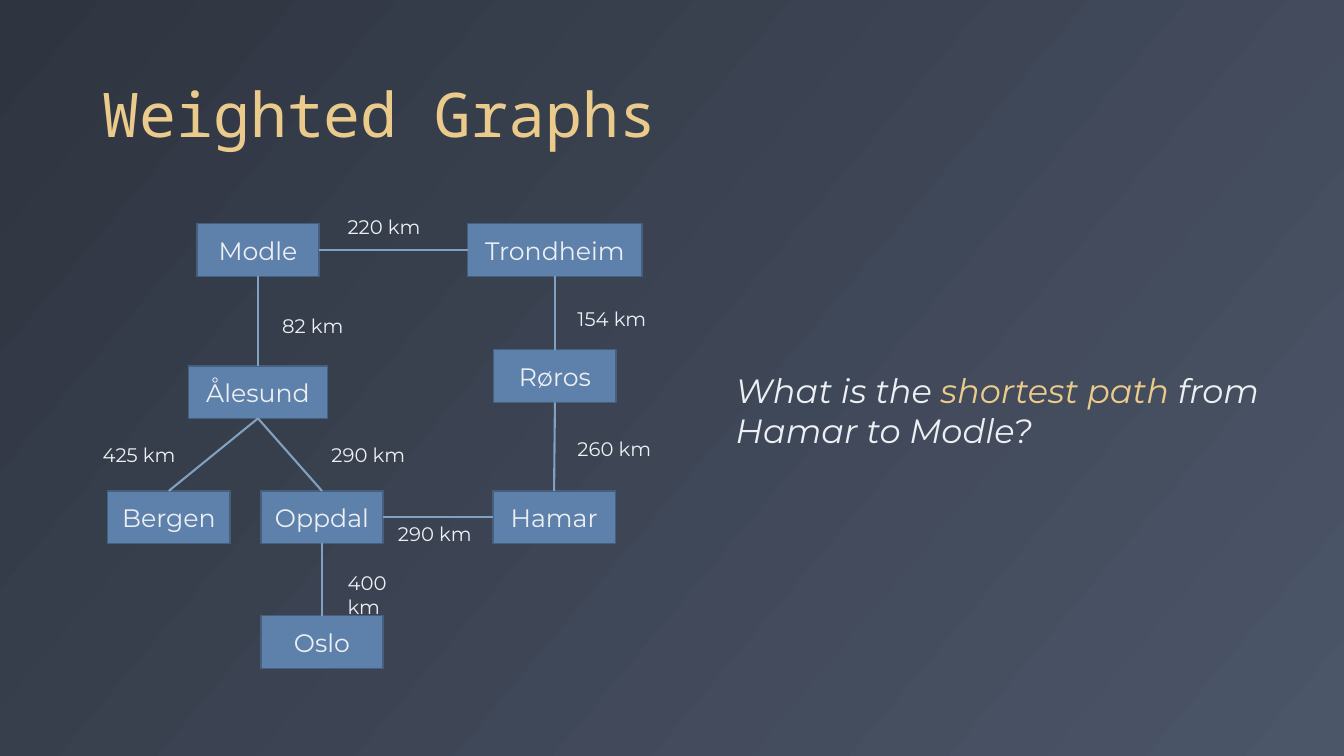
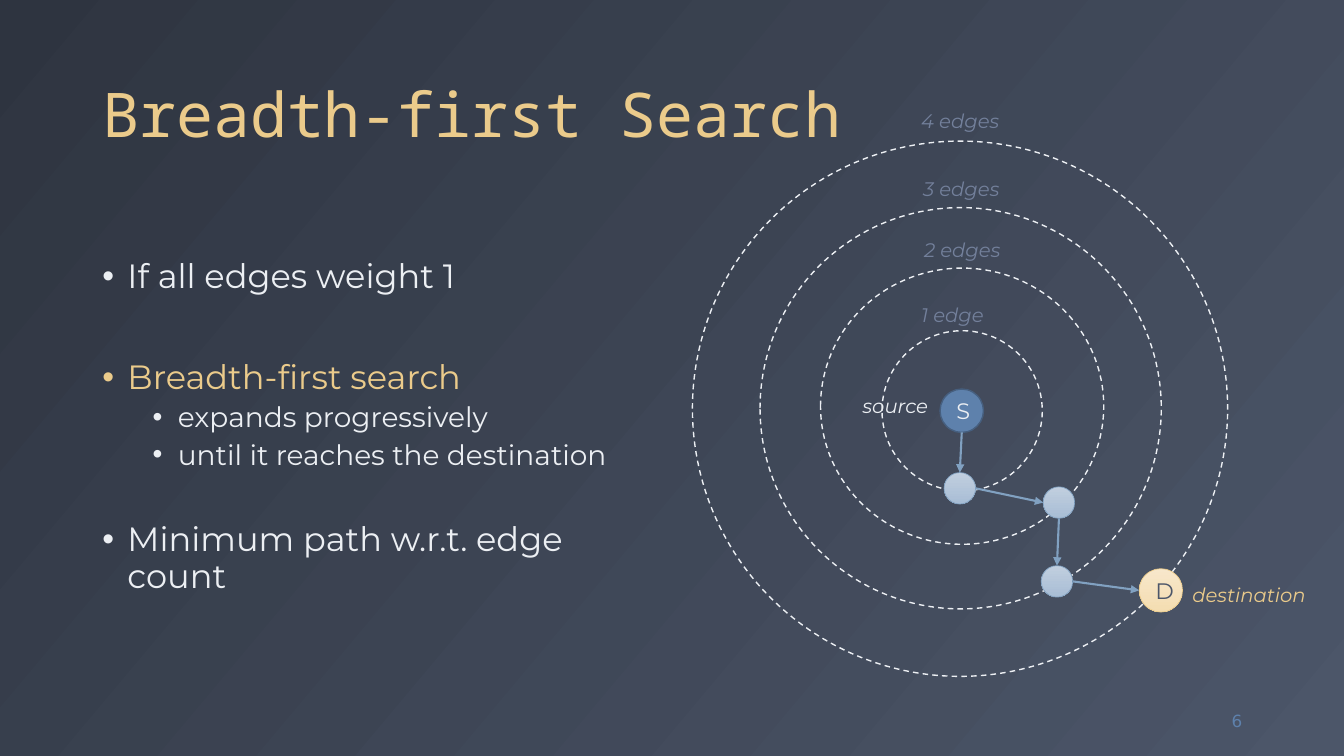
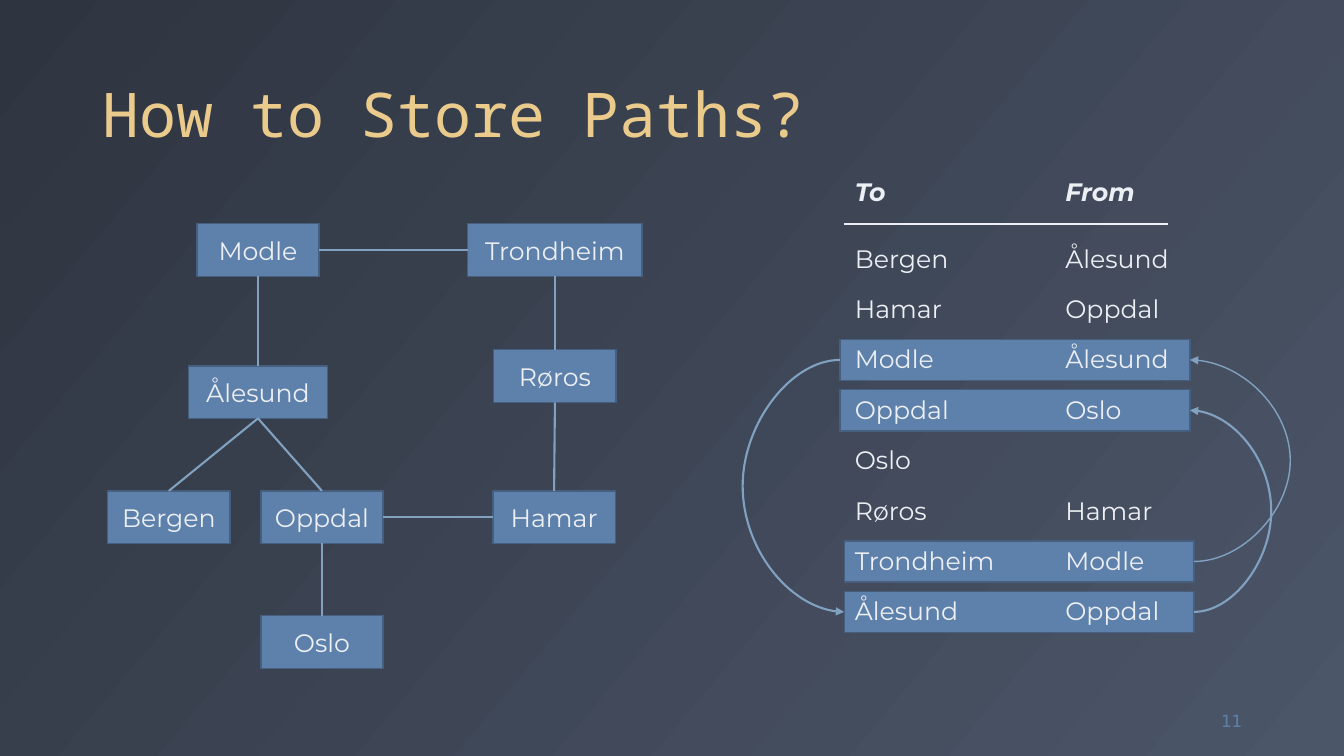
"""Build three slides on weighted graphs, breadth-first search and stored paths."""
from dataclasses import dataclass

from lxml import etree
from pptx import Presentation
from pptx.dml.color import RGBColor
from pptx.enum.dml import MSO_LINE
from pptx.enum.shapes import MSO_CONNECTOR, MSO_SHAPE
from pptx.enum.text import MSO_ANCHOR, PP_ALIGN
from pptx.oxml.ns import qn
from pptx.util import Pt

STRAIGHT, CURVE = MSO_CONNECTOR.STRAIGHT, MSO_CONNECTOR.CURVE
RECTANGLE, OVAL = MSO_SHAPE.RECTANGLE, MSO_SHAPE.OVAL
LEFT, CENTER, RIGHT = PP_ALIGN.LEFT, PP_ALIGN.CENTER, PP_ALIGN.RIGHT
TOP, MIDDLE, BOTTOM = MSO_ANCHOR.TOP, MSO_ANCHOR.MIDDLE, MSO_ANCHOR.BOTTOM
DASH = MSO_LINE.DASH
SITE_TOP, SITE_LEFT, SITE_BOTTOM, SITE_RIGHT = range(4)

NIGHT, SLATE, SNOW, GOLD = "2E3440", "4C5669", "ECEFF3", "EBCB8B"
BLUE, BLUE_EDGE, SKY, MUTED = "5E81AC", "465F7F", "81A1C1", "73809B"
GOLD_FADE, SKY_FADE = ("F7E7CB", "F4DDB1"), ("C1CFDF", "A8BDD5")
TITLE_FONT, BODY_FONT, NUMBER_FONT = "Noto Sans Mono", "Montserrat", "DejaVu Sans"
PLAIN_TABLE_STYLE = "{2D5ABB26-0587-4C30-8999-92F81FD0307C}"

CITY_HEIGHT = 37.5
TABLE_LEFT, TABLE_TOP = 603.4, 123.1
HEADER_HEIGHT, ROW_HEIGHT = 44, 36
COLUMN_WIDTHS = (150.4, 96)
HIGHLIGHT_WIDTH, HIGHLIGHT_HEIGHT = 250, 29.5


@dataclass(frozen=True)
class Style:
    size: float = 14
    color: str = SNOW
    name: str = BODY_FONT
    bold: bool = False
    italic: bool = False


@dataclass(frozen=True)
class City:
    name: str
    x: float
    y: float
    width: float = 87.4


@dataclass(frozen=True)
class Road:
    start: str
    start_site: int
    end: str
    end_site: int
    distance: str
    left: float
    top: float
    label_width: float = 76


@dataclass(frozen=True)
class Ring:
    left: float
    top: float
    width: float
    height: float
    label: str
    label_left: float
    label_top: float


@dataclass(frozen=True)
class Node:
    x: float
    y: float
    diameter: float = 22.5
    fill: str | tuple = SKY_FADE
    edge: str = SKY
    edge_width: float = 0.5
    text: str = ""
    text_color: str = SNOW


@dataclass(frozen=True)
class Bullet:
    text: str
    space_before: float
    level: int = 0
    color: str = SNOW


@dataclass(frozen=True)
class Trace:
    start_row: int
    end_row: int
    on_right: bool
    bend_x: float
    width: float


CITIES = (
    City("Modle", 184.3, 178.6),
    City("Ålesund", 184.3, 280.1, 99.6),
    City("Trondheim", 396.4, 178.6, 124.6),
    City("Oppdal", 230, 369.4),
    City("Hamar", 395.8, 369.4),
    City("Bergen", 120.6, 369.4),
    City("Oslo", 230, 458.6),
    City("Røros", 396.4, 268.6),
)
ROADS = (
    Road("Modle", SITE_BOTTOM, "Ålesund", SITE_TOP, "82 km", 194.4, 221),
    Road("Modle", SITE_RIGHT, "Trondheim", SITE_LEFT, "220 km", 241.2, 149.8),
    Road("Bergen", SITE_TOP, "Ålesund", SITE_BOTTOM, "425 km", 66.2, 312.5),
    Road("Oppdal", SITE_TOP, "Ålesund", SITE_BOTTOM, "290 km", 229.7, 312.5),
    Road("Hamar", SITE_LEFT, "Oppdal", SITE_RIGHT, "290 km", 277.2, 369.4),
    Road("Oslo", SITE_TOP, "Oppdal", SITE_BOTTOM, "400 km", 241.2, 404.6, 60),
    Road("Røros", SITE_BOTTOM, "Hamar", SITE_TOP, "260 km", 405.4, 308.9),
    Road("Trondheim", SITE_BOTTOM, "Røros", SITE_TOP, "154 km", 405.4, 216),
)
RINGS = (
    Ring(630, 236.2, 114.5, 114.5, "1 edge", 650.9, 213.1),
    Ring(586.1, 191.5, 202.3, 197.3, "2 edges", 653, 166.3),
    Ring(542.9, 148.3, 286.6, 286.6, "3 edges", 652.3, 123.1),
    Ring(494.6, 100.8, 382.3, 382.3, "4 edges", 650.9, 74.2),
)
SEARCH_PATH = (
    Node(687, 293.4, 31, BLUE, BLUE_EDGE, 1, "S"),
    Node(685.6, 348.8),
    Node(756.4, 359),
    Node(755, 415.3),
    Node(829.2, 421.7, 31, GOLD_FADE, GOLD, 0.5, "D", SLATE),
)
BULLETS = (
    Bullet("If all edges weight 1", 0),
    Bullet("Breadth-first search", 46, color=GOLD),
    Bullet("expands progressively", 5, 1),
    Bullet("until it reaches the destination", 5, 1),
    Bullet("Minimum path w.r.t. edge count", 37),
)
PATHS = (
    ("Bergen", "Ålesund"),
    ("Hamar", "Oppdal"),
    ("Modle", "Ålesund"),
    ("Oppdal", "Oslo"),
    ("Oslo", ""),
    ("Røros", "Hamar"),
    ("Trondheim", "Modle"),
    ("Ålesund", "Oppdal"),
)
HIGHLIGHT_LEFTS = {2: 600, 3: 600, 6: 603, 7: 603}
TRACES = (
    Trace(6, 2, True, 921.6, 1),
    Trace(2, 7, False, 530.6, 1.5),
    Trace(7, 3, True, 908, 1.5),
)


def rgb(color: str) -> RGBColor:
    """Turn a hex string into a colour."""
    return RGBColor.from_string(color)


def set_font(font, style: Style) -> None:
    """Apply a text style to a font."""
    font.name, font.size = style.name, Pt(style.size)
    font.bold, font.italic = style.bold, style.italic
    font.color.rgb = rgb(style.color)


def set_gradient(fill, colors: tuple, angle: float) -> None:
    """Fill with a two-stop linear gradient."""
    fill.gradient()
    fill.gradient_angle = angle
    for stop, color in zip(fill.gradient_stops, colors):
        stop.color.rgb = rgb(color)


def write(frame, text: str, style: Style, align=LEFT, anchor=TOP) -> None:
    """Write one styled paragraph in a text frame."""
    frame.word_wrap, frame.vertical_anchor = True, anchor
    paragraph = frame.paragraphs[0]
    paragraph.text, paragraph.alignment = text, align
    set_font(paragraph.font, style)


def add_frame(slide, left: float, top: float, width: float, height: float):
    """Add a wrapping text box and return its frame."""
    frame = slide.shapes.add_textbox(Pt(left), Pt(top), Pt(width), Pt(height)).text_frame
    frame.word_wrap = True
    return frame


def add_label(slide, text: str, left: float, top: float, style: Style, width: float = 80) -> None:
    """Add a small label."""
    write(add_frame(slide, left, top, width, 24.5), text, style)


def add_box(slide, kind, left: float, top: float, width: float, height: float,
            fill=BLUE, edge: str = BLUE_EDGE, edge_width: float = 1):
    """Add a shape with a solid, gradient or empty fill."""
    shape = slide.shapes.add_shape(kind, Pt(left), Pt(top), Pt(width), Pt(height))
    shape.shadow.inherit = False
    if fill is None:
        shape.fill.background()
    elif isinstance(fill, tuple):
        set_gradient(shape.fill, fill, 270)
    else:
        shape.fill.solid()
        shape.fill.fore_color.rgb = rgb(fill)
    shape.line.color.rgb, shape.line.width = rgb(edge), Pt(edge_width)
    return shape


def add_line(slide, start: tuple, end: tuple, color: str = SKY, width: float = 1.5,
             arrow: bool = False, kind=STRAIGHT):
    """Add a connector without shadow, with an optional arrowhead."""
    connector = slide.shapes.add_connector(kind, *(Pt(value) for value in start + end))
    connector.line.color.rgb, connector.line.width = rgb(color), Pt(width)
    if arrow:
        etree.SubElement(connector.line._get_or_add_ln(), qn("a:tailEnd"), type="triangle")
    etree.SubElement(connector._element.spPr, qn("a:effectLst"))
    return connector


def add_slide(presentation, title: str, number: str = ""):
    """Add a blank slide with its title and optional number."""
    slide = presentation.slides.add_slide(presentation.slide_layouts[6])
    frame = add_frame(slide, 66, 13, 828, 98)
    write(frame, title, Style(44, GOLD, TITLE_FONT), anchor=BOTTOM)
    frame.paragraphs[0].line_spacing = 0.9
    if number:
        write(add_frame(slide, 834.5, 500.5, 60, 28.8), number,
              Style(12, BLUE, NUMBER_FONT), RIGHT, MIDDLE)
    return slide


def draw_map(slide, with_distances: bool) -> None:
    """Draw the cities and the roads glued between them."""
    boxes = {}
    for city in CITIES:
        box = add_box(slide, RECTANGLE, city.x - city.width / 2, city.y - CITY_HEIGHT / 2,
                      city.width, CITY_HEIGHT)
        write(box.text_frame, city.name, Style(18), CENTER, MIDDLE)
        boxes[city.name] = box
    for road in ROADS:
        connector = add_line(slide, (0, 0), (0, 0))
        connector.begin_connect(boxes[road.start], road.start_site)
        connector.end_connect(boxes[road.end], road.end_site)
        if with_distances:
            add_label(slide, road.distance, road.left, road.top, Style(), road.label_width)


def add_question(slide) -> None:
    """Add the question beside the map."""
    frame = add_frame(slide, 518.4, 260.6, 420, 65.5)
    first, second = frame.paragraphs[0], frame.add_paragraph()
    for text, color in (("What is the ", SNOW), ("shortest path", GOLD), (" from", SNOW)):
        run = first.add_run()
        run.text = text
        set_font(run.font, Style(24, color, italic=True))
    second.text = "Hamar to Modle?"
    set_font(second.font, Style(24, italic=True))


def add_bullets(slide) -> None:
    """Add the two-level bullet list."""
    frame = add_frame(slide, 66, 182, 376.6, 260)
    for index, bullet in enumerate(BULLETS):
        paragraph = frame.add_paragraph() if index else frame.paragraphs[0]
        paragraph.text, paragraph.level = bullet.text, bullet.level
        paragraph.line_spacing = 0.9
        if index:
            paragraph.space_before = Pt(bullet.space_before)
        properties = paragraph._p.get_or_add_pPr()
        properties.set("marL", str(Pt(18 + 36 * bullet.level)))
        properties.set("indent", str(Pt(-18)))
        etree.SubElement(properties, qn("a:buFont"), typeface="Arial")
        etree.SubElement(properties, qn("a:buChar"), char="•")
        set_font(paragraph.font, Style(24 - 4 * bullet.level, bullet.color))


def draw_search(slide) -> None:
    """Draw the rings and the path from source to destination."""
    for ring in RINGS:
        circle = add_box(slide, OVAL, ring.left, ring.top, ring.width, ring.height, None, SNOW)
        circle.line.dash_style = DASH
        add_label(slide, ring.label, ring.label_left, ring.label_top, Style(color=MUTED, italic=True))
    for node in SEARCH_PATH:
        radius = node.diameter / 2
        circle = add_box(slide, OVAL, node.x - radius, node.y - radius, node.diameter,
                         node.diameter, node.fill, node.edge, node.edge_width)
        if node.text:
            write(circle.text_frame, node.text, Style(16, node.text_color), CENTER, MIDDLE)
    for index, (near, far) in enumerate(zip(SEARCH_PATH, SEARCH_PATH[1:])):
        across, down = (1, 0) if index % 2 else (0, 1)
        start, end = near.diameter / 2, far.diameter / 2
        add_line(slide, (near.x + across * start, near.y + down * start),
                 (far.x - across * end, far.y - down * end), arrow=True)
    add_label(slide, "source", 609.1, 277.9, Style(italic=True))
    add_label(slide, "destination", 844.6, 412.6, Style(color=GOLD, italic=True), 105)


def row_center(row: int) -> float:
    """Return the vertical centre of a body row."""
    return TABLE_TOP + HEADER_HEIGHT + (row + 0.5) * ROW_HEIGHT


def add_path_table(slide) -> None:
    """Add the table of predecessors."""
    rows = (("To", "From"),) + PATHS
    table = slide.shapes.add_table(
        len(rows), len(COLUMN_WIDTHS), Pt(TABLE_LEFT), Pt(TABLE_TOP), Pt(sum(COLUMN_WIDTHS)),
        Pt(HEADER_HEIGHT + len(PATHS) * ROW_HEIGHT)).table
    table.first_row = table.horz_banding = False
    table._tbl.tblPr[0].text = PLAIN_TABLE_STYLE
    for column, width in zip(table.columns, COLUMN_WIDTHS):
        column.width = Pt(width)
    for index, texts in enumerate(rows):
        header = index == 0
        table.rows[index].height = Pt(HEADER_HEIGHT if header else ROW_HEIGHT)
        for column, text in enumerate(texts):
            cell = table.cell(index, column)
            cell.fill.background()
            cell.vertical_anchor = TOP if header else MIDDLE
            paragraph = cell.text_frame.paragraphs[0]
            paragraph.text = text
            set_font(paragraph.font, Style(18, bold=header, italic=header))


def draw_paths(slide) -> None:
    """Draw the highlighted table and the arrows that trace a path."""
    for row, left in HIGHLIGHT_LEFTS.items():
        add_box(slide, RECTANGLE, left, row_center(row) - HIGHLIGHT_HEIGHT / 2,
                HIGHLIGHT_WIDTH, HIGHLIGHT_HEIGHT)
    add_path_table(slide)
    add_line(slide, (602.6, 160), (834.5, 160), SNOW, 1)
    for trace in TRACES:
        offset = HIGHLIGHT_WIDTH if trace.on_right else 0
        start_x, end_x = (HIGHLIGHT_LEFTS[row] + offset for row in (trace.start_row, trace.end_row))
        connector = add_line(slide, (start_x, row_center(trace.start_row)),
                             (end_x, row_center(trace.end_row)), width=trace.width,
                             arrow=True, kind=CURVE)
        bend = round((trace.bend_x - start_x) / (end_x - start_x) * 100000)
        guides = connector._element.spPr.find(qn("a:prstGeom")).get_or_add_avLst()
        etree.SubElement(guides, qn("a:gd"), name="adj1", fmla=f"val {bend}")


def main() -> None:
    """Build and save the presentation."""
    presentation = Presentation()
    presentation.slide_width, presentation.slide_height = Pt(960), Pt(540)
    set_gradient(presentation.slide_master.background.fill, (NIGHT, SLATE), 320)

    graphs = add_slide(presentation, "Weighted Graphs")
    draw_map(graphs, with_distances=True)
    add_question(graphs)

    search = add_slide(presentation, "Breadth-first Search", "6")
    add_bullets(search)
    draw_search(search)

    paths = add_slide(presentation, "How to Store Paths?", "11")
    draw_map(paths, with_distances=False)
    draw_paths(paths)

    presentation.save("out.pptx")


if __name__ == "__main__":
    main()
